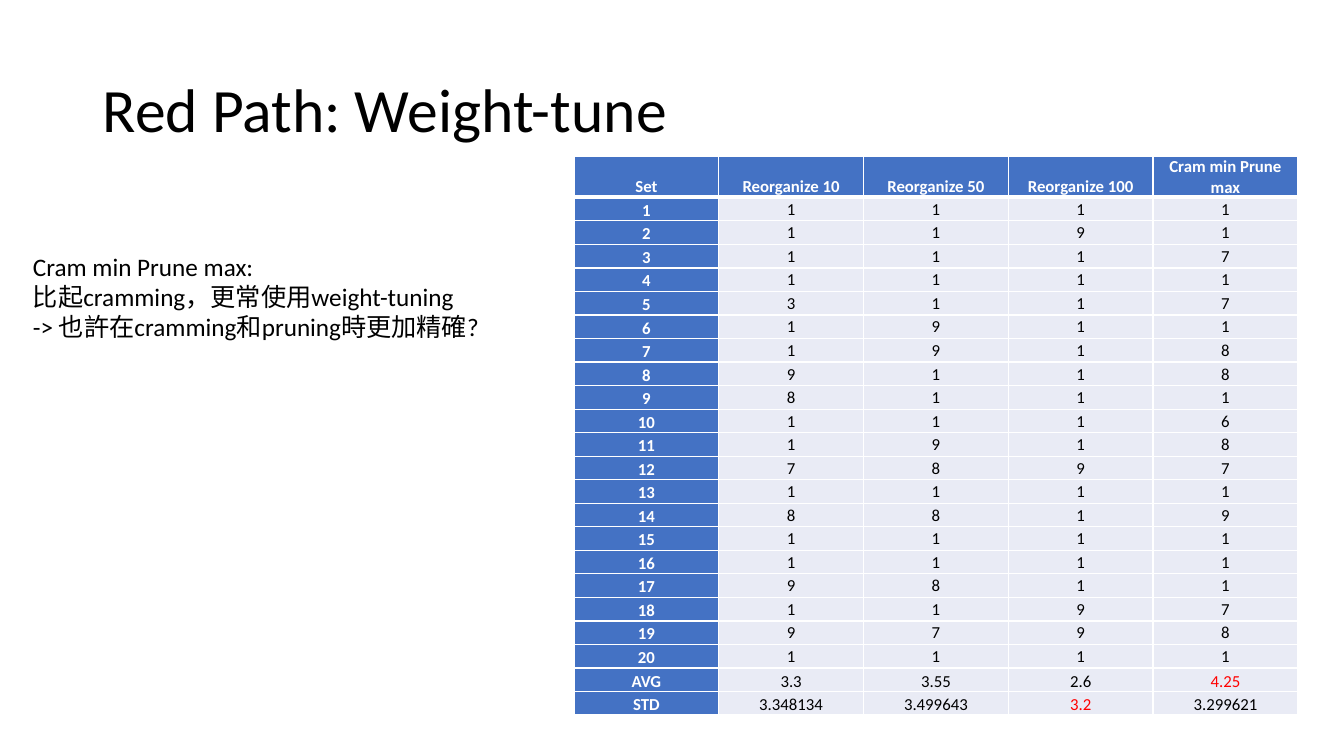
from lxml import etree
from pptx import Presentation
from pptx.dml.color import RGBColor
from pptx.enum.text import MSO_ANCHOR, PP_ALIGN
from pptx.oxml.ns import qn
from pptx.util import Pt

TOP, MID, LOW = MSO_ANCHOR.TOP, MSO_ANCHOR.MIDDLE, MSO_ANCHOR.BOTTOM
CENTER = PP_ALIGN.CENTER
WHITE, BLACK, RED, BLUE, PALE = "FFFFFF", "000000", "FF0000", "4472C4", "E9EBF5"

TITLE = ["Red Path: Weight-tune"]
NOTE = ["Cram min Prune max: ",
        "比起cramming，更常使用weight-tuning",
        "-> 也許在cramming和pruning時更加精確?"]
HEAD = ["Set", "Reorganize 10", "Reorganize 50", "Reorganize 100", "Cram min Prune max"]
RUNS = ["1111", "1191", "1117", "1111", "3117", "1911", "1918", "9118", "8111", "1116",
        "1918", "7897", "1111", "8819", "1111", "1111", "9811", "1197", "9798", "1111"]
STATS = [["AVG", "3.3", "3.55", "2.6", "4.25"],
         ["STD", "3.348134", "3.499643", "3.2", "3.299621"]]
BEST = {"4.25", "3.2"}
ROWS = [HEAD] + [[str(n), *run] for n, run in enumerate(RUNS, 1)] + STATS

BOXES = [(TITLE, (93, 40, 1159, 146), 44, MID, 0.9),
         (NOTE, (23, 246, 497, 102), 18, TOP, 1.0)]
GRID = (574, 156, 724, 559)
HEAD_H = 41
PAD = dict(margin_left=1, margin_top=1, margin_right=1, margin_bottom=0)


def px(n):
    return round(n * 9144 / 1.008)


def rgb(code):
    return RGBColor.from_string(code)


def put(obj, vals):
    for key, val in vals.items():
        setattr(obj, key, val)


def write(par, text, size, tone, bold=False):
    run = par.add_run()
    run.text = text
    put(run.font, dict(name="Calibri", size=Pt(size), bold=bold))
    run.font.color.rgb = rgb(tone)


def edge(cell, side, width):
    line = etree.SubElement(cell._tc.get_or_add_tcPr(), qn("a:ln" + side), w=str(Pt(width)))
    fill = etree.SubElement(line, qn("a:solidFill"))
    etree.SubElement(fill, qn("a:srgbClr"), val=WHITE)


deck = Presentation()
put(deck, dict(slide_width=px(1344), slide_height=px(756)))
slide = deck.slides.add_slide(deck.slide_layouts[6])

for lines, area, size, anchor, gap in BOXES:
    frame = slide.shapes.add_textbox(*map(px, area)).text_frame
    put(frame, dict(word_wrap=True, vertical_anchor=anchor))
    for i, text in enumerate(lines):
        par = frame.add_paragraph() if i else frame.paragraphs[0]
        par.line_spacing = gap
        write(par, text, size, BLACK)

table = slide.shapes.add_table(len(ROWS), len(HEAD), *map(px, GRID)).table
put(table, dict(first_row=False, horz_banding=False))
for col in table.columns:
    col.width = px(GRID[2] / len(HEAD))
for r, row in enumerate(ROWS):
    table.rows[r].height = px((GRID[3] - HEAD_H) / (len(ROWS) - 1) if r else HEAD_H)
    for c, text in enumerate(row):
        cell = table.cell(r, c)
        label = r == 0 or c == 0
        low = label or row in STATS
        put(cell, {key: px(val) for key, val in PAD.items()})
        cell.vertical_anchor = LOW if low else MID
        for side in "LRTB":
            thick = (r, side) in ((0, "B"), (1, "T"))
            edge(cell, side, 3 if thick else 1)
        cell.fill.solid()
        cell.fill.fore_color.rgb = rgb(BLUE if label else PALE)
        par = cell.text_frame.paragraphs[0]
        par.alignment = CENTER
        tone = WHITE if label else RED if text in BEST else BLACK
        write(par, text, 12, tone, label)

deck.save("out.pptx")
